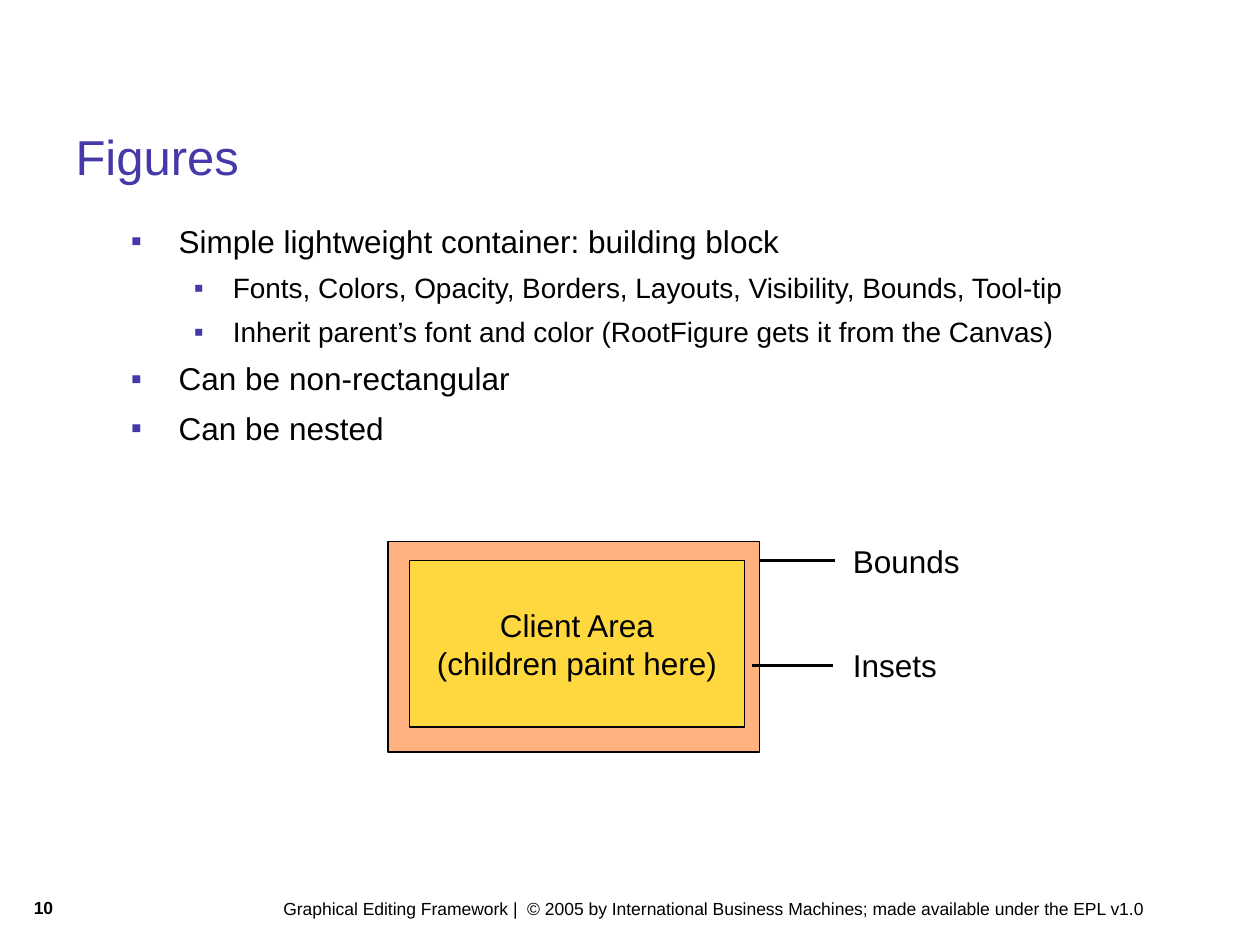
from lxml import etree
from pptx import Presentation
from pptx.dml.color import RGBColor
from pptx.enum.shapes import MSO_CONNECTOR, MSO_SHAPE
from pptx.enum.text import MSO_ANCHOR, MSO_AUTO_SIZE, PP_ALIGN
from pptx.oxml.ns import qn
from pptx.util import Inches, Pt

RECTANGLE = MSO_SHAPE.RECTANGLE
STRAIGHT = MSO_CONNECTOR.STRAIGHT
TOP, MIDDLE = MSO_ANCHOR.TOP, MSO_ANCHOR.MIDDLE
LEFT, CENTER = PP_ALIGN.LEFT, PP_ALIGN.CENTER
NO_AUTOFIT = MSO_AUTO_SIZE.NONE

THEME = {
    "font": "Arial", "ink": "000000", "accent": "4538A8",
    "bounds": "FF6600", "client": "FFFF00", "opacity": 50,
    "title": 28, "body": 18, "sub": 16, "small": 10,
    "outline": 0.75, "pointer": 1.5,
}

TITLE = "Figures"
BULLETS = [  # level, text
    (0, "Simple lightweight container: building block"),
    (1, "Fonts, Colors, Opacity, Borders, Layouts, Visibility, Bounds, Tool-tip"),
    (1, "Inherit parent’s font and color (RootFigure gets it from the Canvas)"),
    (0, "Can be non-rectangular"),
    (0, "Can be nested"),
]
LEVELS = [  # text indent, hanging indent, space before, space after, size
    (0.38, 0.38, 2.2, 4.5, THEME["body"]),
    (0.81, 0.31, 2, 4, THEME["sub"]),
]
CLIENT_LINES = ["Client Area", "(children paint here)"]
POINTERS = [  # label, start, end, height of the line
    ("Bounds", 6.03, 6.63, 4.45),
    ("Insets", 5.97, 6.61, 5.28),
]
PAGE_NUMBER = "10"
FOOTER = ("Graphical Editing Framework |  © 2005 by International Business Machines; "
          "made available under the EPL v1.0")


def write(shape, lines, size=THEME["body"], color=THEME["ink"], bold=False,
          align=LEFT, anchor=TOP, wrap=True):
    frame = shape.text_frame
    frame.auto_size = NO_AUTOFIT
    frame.word_wrap = wrap
    frame.vertical_anchor = anchor
    for index, line in enumerate(lines):
        para = frame.paragraphs[0] if index == 0 else frame.add_paragraph()
        para.alignment = align
        span = para.add_run()
        span.text = line
        span.font.name = THEME["font"]
        span.font.size = Pt(size)
        span.font.bold = bold
        span.font.color.rgb = RGBColor.from_string(color)
    return frame


def add_text(slide, place, lines, **style):
    box = slide.shapes.add_textbox(*map(Inches, place))
    return write(box, lines, **style)


def add_bullet(para, indent, hanging):
    props = para._p.get_or_add_pPr()
    props.set("marL", str(Inches(indent)))
    props.set("indent", str(-Inches(hanging)))
    color = etree.SubElement(props, qn("a:buClr"))
    etree.SubElement(color, qn("a:srgbClr"), val=THEME["accent"])
    etree.SubElement(props, qn("a:buFont"), typeface=THEME["font"])
    etree.SubElement(props, qn("a:buChar"), char="▪")


def add_bullets(slide, place, bullets):
    frame = add_text(slide, place, [text for _, text in bullets])
    for index, (para, (level, _)) in enumerate(zip(frame.paragraphs, bullets)):
        indent, hanging, before, after, size = LEVELS[level]
        add_bullet(para, indent, hanging)
        para.level = level
        para.space_before = Pt(before if index else 0)
        para.space_after = Pt(after)
        para.runs[0].font.size = Pt(size)


def add_area(slide, place, color):
    """Add a half-transparent rectangle with a thin outline."""
    area = slide.shapes.add_shape(RECTANGLE, *map(Inches, place))
    area.shadow.inherit = False
    area.fill.solid()
    area.fill.fore_color.rgb = RGBColor.from_string(color)
    fill = area._element.spPr.find(qn("a:solidFill"))
    etree.SubElement(fill[0], qn("a:alpha"), val=str(THEME["opacity"] * 1000))
    area.line.color.rgb = RGBColor.from_string(THEME["ink"])
    area.line.width = Pt(THEME["outline"])
    return area


def add_pointer(slide, label, start, end, height):
    line = slide.shapes.add_connector(
        STRAIGHT, Inches(start), Inches(height), Inches(end), Inches(height))
    line.line.color.rgb = RGBColor.from_string(THEME["ink"])
    line.line.width = Pt(THEME["pointer"])
    etree.SubElement(line._element.spPr, qn("a:effectLst"))
    add_text(slide, (6.67, height - 0.2, 1.4, 0.4), [label])


def main():
    deck = Presentation()
    deck.slide_width, deck.slide_height = Inches(10), Inches(7.5)
    slide = deck.slides.add_slide(deck.slide_layouts[5])

    title = slide.shapes.title
    title.left, title.top = Inches(0.5), Inches(0.92)
    title.width, title.height = Inches(9), Inches(0.63)
    write(title, [TITLE], size=THEME["title"], color=THEME["accent"], anchor=MIDDLE)

    add_text(slide, (2.15, 7.08, 7.22, 0.27), [FOOTER], size=THEME["small"])
    add_text(slide, (0.17, 7.07, 1.1, 0.35), [PAGE_NUMBER], size=THEME["small"], bold=True)
    add_bullets(slide, (0.94, 1.71, 8.31, 2.37), BULLETS)

    add_area(slide, (3.08, 4.3, 2.95, 1.67), THEME["bounds"])
    client = add_area(slide, (3.25, 4.45, 2.66, 1.32), THEME["client"])
    write(client, CLIENT_LINES, align=CENTER, anchor=MIDDLE, wrap=False)
    for pointer in POINTERS:
        add_pointer(slide, *pointer)

    deck.save("out.pptx")


if __name__ == "__main__":
    main()
